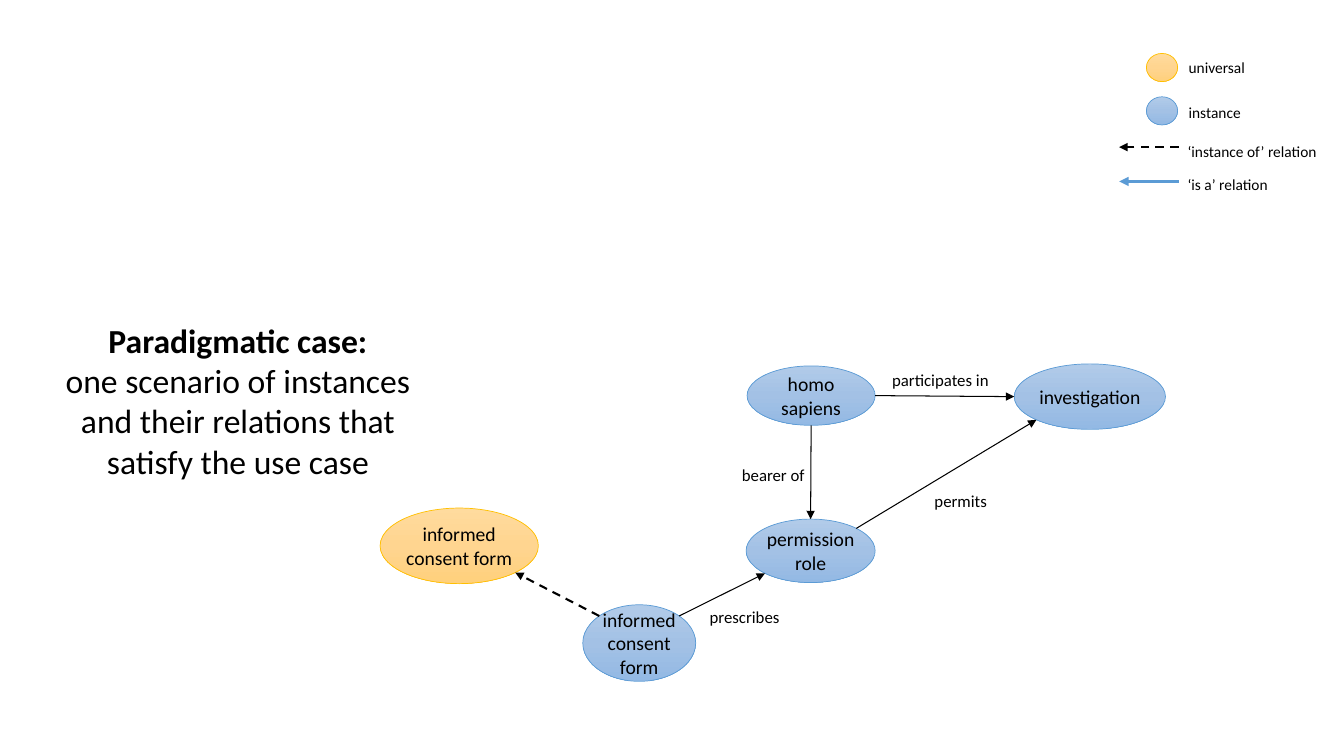
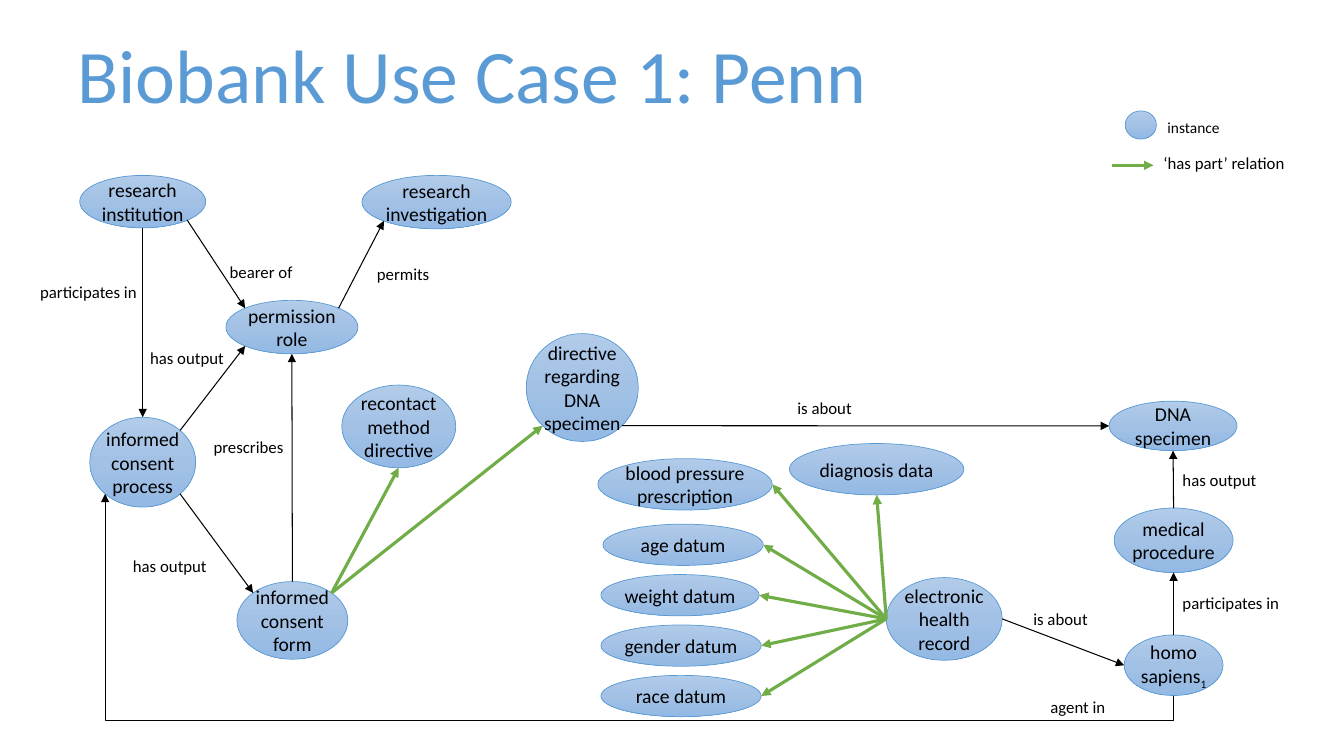
from copy import deepcopy
from math import cos, pi, sin

from lxml.etree import SubElement
from pptx import Presentation
from pptx.dml.color import RGBColor
from pptx.enum.dml import MSO_LINE
from pptx.enum.shapes import MSO_CONNECTOR as CONN, MSO_SHAPE as SHAPE
from pptx.enum.text import MSO_ANCHOR as ANCHOR, MSO_AUTO_SIZE as AUTO, PP_ALIGN as ALIGN
from pptx.oxml.ns import qn
from pptx.util import Inches, Pt

FONT = "Calibri"
COLORS = {"text": "000000", "blue": "5B9BD5", "gold": "FFC000", "green": "70AD47"}
GRADIENTS = {"blue": ("B1CBE9", "A3C1E5", "93B9E4"), "gold": ("FFDB9E", "FFD590", "FFD07C")}
# colour, width in points, dashed
LINES = {
    "relation": ("text", 0.75, False),
    "loop": ("text", 0.5, False),
    "instance of": ("text", 1.5, True),
    "is a": ("blue", 2.25, False),
    "has part": ("green", 2.25, False),
}
# Connection sites of an ellipse, counter-clockwise from the top
SITES = ("top", "top left", "left", "bottom left", "bottom", "bottom right", "right", "top right")

# Nodes: key -> text, left, top, width, height, colour
# Edges: from node, site, to node, site, line
# Labels: text, left, top, width, size
CASE_NODES = {
    "form": ("informed consent form", 5.78, 6, 1.12, 0.76, "blue"),
    "human": ("homo sapiens", 7.41, 3.63, 1.27, 0.59, "blue"),
    "role": ("permission role", 7.4, 5.15, 1.28, 0.63, "blue"),
    "investigation": ("investigation", 10.06, 3.61, 1.5, 0.65, "blue"),
    "form type": ("informed consent form", 3.77, 5.04, 1.57, 0.75, "gold"),
    "universal key": ("", 11.37, 0.53, 0.31, 0.28, "gold"),
    "instance key": ("", 11.37, 0.96, 0.31, 0.28, "blue"),
}
CASE_EDGES = [
    ("role", "top right", "investigation", "bottom left", "relation"),
    ("human", "bottom", "role", "top", "relation"),
    ("form", "top right", "role", "bottom left", "relation"),
    ("human", "right", "investigation", "left", "relation"),
    ("form", "top left", "form type", "bottom right", "instance of"),
]
CASE_LABELS = [
    ("participates in", 8.75, 3.62, 1.17, 12),
    ("permits", 9.17, 4.82, 0.73, 12),
    ("bearer of", 7.26, 4.56, 0.83, 12),
    ("prescribes", 6.94, 5.97, 0.9, 12),
    ("universal", 11.69, 0.53, 0.77, 11),
    ("instance", 11.69, 0.97, 0.72, 11),
    ("‘instance of’ relation", 11.68, 1.36, 1.49, 11),
    ("‘is a’ relation", 11.68, 1.69, 1, 11),
]
CASE_KEYS = [((11.69, 1.46), (11.1, 1.46), "instance of"), ((11.69, 1.8), (11.1, 1.8), "is a")]
CASE_HEADING = "Paradigmatic case:"
CASE_BODY = "one scenario of instances and their relations that satisfy the use case"

PENN_TITLE = "Biobank Use Case 1: Penn"
PENN_NODES = {
    "process": ("informed consent process", 0.89, 4.14, 1.05, 0.89, "blue"),
    "form": ("informed consent form", 2.35, 5.77, 1.1, 0.77, "blue"),
    "institution": ("research institution", 0.79, 1.74, 1.25, 0.52, "blue"),
    "record": ("electronic health record", 8.79, 5.73, 1.15, 0.82, "blue"),
    "investigation": ("research investigation", 3.59, 1.74, 1.48, 0.53, "blue"),
    "recontact": ("recontact method directive", 3.39, 3.82, 1.13, 0.82, "blue"),
    "specimen": ("DNA specimen", 11, 3.98, 1.27, 0.49, "blue"),
    "human": ("homo sapiens", 11.15, 6.3, 0.98, 0.6, "blue"),
    "role": ("permission role", 2.24, 2.98, 1.31, 0.53, "blue"),
    "directive": ("directive regarding DNA specimen", 5.22, 3.31, 1.11, 1.07, "blue"),
    "pressure": ("blood pressure prescription", 5.93, 4.55, 1.73, 0.51, "blue"),
    "diagnosis": ("diagnosis data", 7.83, 4.4, 1.73, 0.51, "blue"),
    "procedure": ("medical procedure", 11.05, 5.04, 1.18, 0.64, "blue"),
    "instance key": ("", 11.16, 1.1, 0.31, 0.28, "blue"),
}
DATA = [("age", 5.98, 1.59), ("weight", 5.96, 1.57), ("gender", 5.96, 1.59), ("race", 5.96, 1.59)]
DATA_TOP, DATA_STEP, DATA_HEIGHT = 5.2, 0.5, 0.41
PENN_EDGES = [
    ("institution", "bottom", "process", "top", "relation"),
    ("institution", "bottom right", "role", "top left", "relation"),
    ("role", "top right", "investigation", "bottom left", "relation"),
    ("process", "top right", "role", "bottom left", "relation"),
    ("process", "bottom right", "form", "top left", "relation"),
    ("form", "top", "role", "bottom", "relation"),
    ("form", "top right", "recontact", "bottom", "has part"),
    ("form", "top right", "directive", "bottom left", "has part"),
    ("directive", "bottom right", "specimen", "left", "relation"),
    ("record", "right", "human", "left", "relation"),
    ("human", "top", "procedure", "bottom", "relation"),
    ("procedure", "top", "specimen", "bottom", "relation"),
    ("record", "left", "diagnosis", "bottom", "has part"),
    ("record", "left", "pressure", "right", "has part"),
]
PENN_LABELS = [
    ("has output", 1.22, 5.46, 0.96, 12),
    ("permits", 3.64, 2.57, 0.73, 12),
    ("bearer of", 2.18, 2.55, 0.83, 12),
    ("agent in", 10.32, 6.86, 0.75, 12),
    ("is about", 10.15, 5.99, 0.75, 12),
    ("prescribes", 2.02, 4.28, 0.9, 12),
    ("is about", 7.81, 3.9, 0.75, 12),
    ("participates in", 0.3, 2.75, 1.17, 12),
    ("has output", 1.39, 3.4, 0.96, 12),
    ("has output", 11.63, 4.61, 0.94, 12),
    ("participates in", 11.63, 5.83, 1.17, 12),
    ("instance", 11.48, 1.12, 0.72, 11),
    ("‘has part’ relation", 11.44, 1.47, 1.42, 12),
]
PENN_KEYS = [((11.03, 1.64), (11.44, 1.64), "has part")]
LOOP_DROP = 0.25

for row, (name, left, width) in enumerate(DATA):
    PENN_NODES[name] = (f"{name} datum", left, DATA_TOP + row * DATA_STEP, width, DATA_HEIGHT, "blue")
    PENN_EDGES.append(("record", "left", name, "right", "has part"))


def rgb(name):
    """Return the named colour."""
    return RGBColor.from_string(COLORS[name])


def add_run(p, text, size, color="text", bold=False):
    """Add one formatted run to a paragraph."""
    r = p.add_run()
    r.text = text
    r.font.name, r.font.size, r.font.bold = FONT, Pt(size), bold
    r.font.color.rgb = rgb(color)
    return r


def add_box(s, left, top, width, height, wrap=True):
    """Add an empty text box and return its text frame."""
    tf = s.shapes.add_textbox(*map(Inches, (left, top, width, height))).text_frame
    tf.word_wrap = wrap
    tf.auto_size = AUTO.SHAPE_TO_FIT_TEXT
    return tf


def fill_gradient(fill, hexes):
    """Fill from top to bottom with three evenly spaced colours."""
    fill.gradient()
    fill.gradient_angle = 270
    first = fill._fill._gradFill.gsLst[0]
    first.addnext(deepcopy(first))
    for i, (stop, value) in enumerate(zip(fill.gradient_stops, hexes)):
        stop.position = i / 2
        stop.color.rgb = RGBColor.from_string(value)


def add_node(s, text, left, top, width, height, color):
    """Add one ellipse with centred text."""
    sp = s.shapes.add_shape(SHAPE.OVAL, *map(Inches, (left, top, width, height)))
    sp.shadow.inherit = False
    fill_gradient(sp.fill, GRADIENTS[color])
    sp.line.color.rgb = rgb(color)
    sp.line.width = Pt(0.5)
    tf = sp.text_frame
    tf.word_wrap = True
    tf.vertical_anchor = ANCHOR.MIDDLE
    tf.margin_left = tf.margin_top = tf.margin_right = tf.margin_bottom = 0
    if text:
        p = tf.paragraphs[0]
        p.alignment = ALIGN.CENTER
        add_run(p, text, 14)
    return sp


def site_point(node, site):
    """Return the place of a connection site on an ellipse, in inches."""
    _, left, top, width, height, _ = node
    angle = SITES.index(site) * pi / 4
    return left + width / 2 * (1 - sin(angle)), top + height / 2 * (1 - cos(angle))


def add_line(s, start, end, style, kind=CONN.STRAIGHT):
    """Add an arrow between two points."""
    color, width, dashed = LINES[style]
    line = s.shapes.add_connector(kind, *map(Inches, (*start, *end)))
    line.line.color.rgb = rgb(color)
    line.line.width = Pt(width)
    if dashed:
        line.line.dash_style = MSO_LINE.DASH
    spPr = line._element.spPr
    SubElement(spPr.find(qn("a:ln")), qn("a:tailEnd"), type="triangle")
    SubElement(spPr, qn("a:effectLst"))
    return line


def add_loop(s, start, end, drop):
    """Add an elbow arrow that runs below both of its ends."""
    across, rise = start[0] - end[0], start[1] - end[1]
    mid_x, mid_y = (start[0] + end[0]) / 2, (start[1] + end[1]) / 2
    line = add_line(s, (mid_x + rise / 2, mid_y - across / 2),
                    (mid_x - rise / 2, mid_y + across / 2), "loop", CONN.ELBOW)
    spPr = line._element.spPr
    spPr.find(qn("a:xfrm")).set("rot", str(90 * 60000))
    guides = spPr.find(qn("a:prstGeom")).get_or_add_avLst()
    SubElement(guides, qn("a:gd"), name="adj1", fmla=f"val {round(-drop / rise * 100000)}")


def add_diagram(s, nodes, edges, labels, keys):
    """Draw nodes, the arrows glued to them, and the labels."""
    shapes = {key: add_node(s, *node) for key, node in nodes.items()}
    for source, source_site, target, target_site, style in edges:
        line = add_line(s, site_point(nodes[source], source_site),
                        site_point(nodes[target], target_site), style)
        glue = line._element.nvCxnSpPr.cNvCxnSpPr
        for tag, key, site in (("a:stCxn", source, source_site), ("a:endCxn", target, target_site)):
            SubElement(glue, qn(tag), id=str(shapes[key].shape_id), idx=str(SITES.index(site)))
    for start, end, style in keys:
        add_line(s, start, end, style)
    for text, left, top, width, size in labels:
        tf = add_box(s, left, top, width, 0.3, wrap=False)
        add_run(tf.paragraphs[0], text, size)
    return shapes


def build_case(s):
    """Build the paradigmatic case slide."""
    add_diagram(s, CASE_NODES, CASE_EDGES, CASE_LABELS, CASE_KEYS)
    tf = add_box(s, 0.53, 3.12, 3.66, 1.72)
    for p, text, bold in ((tf.paragraphs[0], CASE_HEADING, True), (tf.add_paragraph(), CASE_BODY, False)):
        p.alignment = ALIGN.CENTER
        add_run(p, text, 24, bold=bold)


def build_penn(s):
    """Build the biobank use case slide."""
    tf = add_box(s, 0.67, 0.23, 8.79, 1.01)
    add_run(tf.paragraphs[0], PENN_TITLE, 54, "blue")
    shapes = add_diagram(s, PENN_NODES, PENN_EDGES, PENN_LABELS, PENN_KEYS)
    index = add_run(shapes["human"].text_frame.paragraphs[0], "1", 14)
    index._r.get_or_add_rPr().set("baseline", "-25000")
    add_loop(s, site_point(PENN_NODES["human"], "bottom"),
             site_point(PENN_NODES["process"], "bottom left"), LOOP_DROP)


prs = Presentation()
prs.slide_width, prs.slide_height = Inches(13.33), Inches(7.5)
for build in (build_case, build_penn):
    build(prs.slides.add_slide(prs.slide_layouts[6]))
prs.save("out.pptx")
